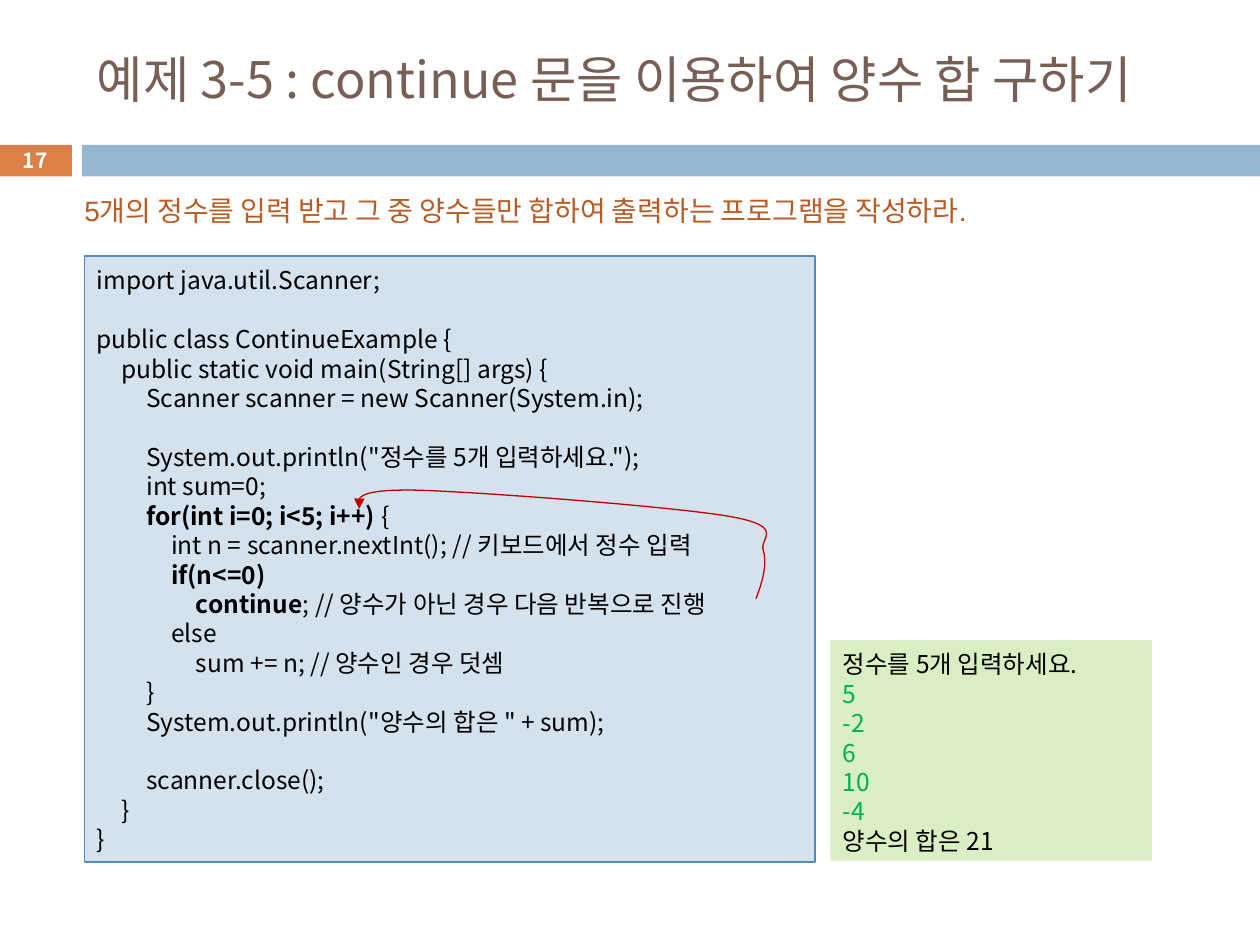
from lxml.etree import SubElement
from pptx import Presentation
from pptx.dml.color import RGBColor
from pptx.enum.shapes import MSO_SHAPE
from pptx.enum.text import MSO_ANCHOR, PP_ALIGN
from pptx.oxml.ns import qn
from pptx.util import Cm, Pt

SANS = "Noto Sans CJK KR"
TITLE = "예제 3-5 : continue 문을 이용하여 양수 합 구하기"
TASK = "5개의 정수를 입력 받고 그 중 양수들만 합하여 출력하는 프로그램을 작성하라."

# Double stars enclose bold code
CODE = """import java.util.Scanner;

public class ContinueExample {
\tpublic static void main(String[] args) {
\t\tScanner scanner = new Scanner(System.in);

\t\tSystem.out.println("정수를 5개 입력하세요.");
\t\tint sum=0;
\t\t**for(int i=0; i<5; i++) **{
\t\t\tint n = scanner.nextInt(); // 키보드에서 정수 입력
\t\t\t**if(n<=0)**
\t\t\t\t**continue**; // 양수가 아닌 경우 다음 반복으로 진행
\t\t\telse
\t\t\t\tsum += n; // 양수인 경우 덧셈
\t\t}
\t\tSystem.out.println("양수의 합은 " + sum);

\t\tscanner.close();
\t}
}"""

INPUT = ["5", "-2", "6", "10", "-4"]
OUTPUT = ["정수를 5개 입력하세요.", *INPUT, "양수의 합은 21"]

# Loop-back curve in cm: start, then control, control, end for each piece
START = (15.24, 12.07)
CURVE = [
    [(15.37, 11.73), (15.47, 11.38), (15.39, 11.1)],
    [(15.29, 10.85), (15.88, 10.62), (14.71, 10.41)],
    [(13.54, 10.21), (9.6, 9.91), (8.36, 9.88)],
    [(7.14, 9.86), (7.19, 10.06), (7.24, 10.26)],
]


def rgb(code):
    return RGBColor.from_string(code)


def style(para, size, color, name=SANS, bold=False):
    font = para.font
    font.name, font.size, font.bold = name, Pt(size), bold
    font.color.rgb = rgb(color)


def place(shape, x, y, w, h):
    shape.left, shape.top = Cm(x), Cm(y)
    shape.width, shape.height = Cm(w), Cm(h)


def rect(slide, x, y, w, h, fill, line=None):
    box = slide.shapes.add_shape(MSO_SHAPE.RECTANGLE, Cm(x), Cm(y), Cm(w), Cm(h))
    box.shadow.inherit = False
    box.fill.solid()
    box.fill.fore_color.rgb = rgb(fill)
    if line:
        box.line.color.rgb = rgb(line)
        box.line.width = Pt(0.75)
    else:
        box.line.fill.background()
    return box


def label(slide, x, y, w, h, text):
    frame = slide.shapes.add_textbox(Cm(x), Cm(y), Cm(w), Cm(h)).text_frame
    frame.word_wrap = True
    frame.text = text
    return frame


def tabs(para, count, step):
    stops = SubElement(para._p.get_or_add_pPr(), qn("a:tabLst"))
    for i in range(1, count + 1):
        SubElement(stops, qn("a:tab"), pos=str(Cm(step * i)), algn="l")


def lines(box, rows, tint):
    """Fill a box with evenly spaced rows; tint gives the colour of a row."""
    frame = box.text_frame
    frame.word_wrap = True
    frame.vertical_anchor = MSO_ANCHOR.TOP
    frame.margin_top = Cm(0.19)
    for i, row in enumerate(rows):
        para = frame.paragraphs[0] if i == 0 else frame.add_paragraph()
        para.alignment = PP_ALIGN.LEFT
        para.line_spacing = Pt(16.8)
        tabs(para, 4, 0.5)
        style(para, 14, tint(row))
        for j, part in enumerate(row.split("**")):
            if part:
                run = para.add_run()
                run.text = part
                if j % 2:
                    run.font.bold = True


def bezier(a, b, c, d, steps=16):
    for i in range(1, steps + 1):
        t = i / steps
        u = 1 - t
        yield tuple(
            Cm(u**3 * p + 3 * u * u * t * q + 3 * u * t * t * r + t**3 * s)
            for p, q, r, s in zip(a, b, c, d)
        )


def arrow(slide, start, curve, color):
    path = slide.shapes.build_freeform(Cm(start[0]), Cm(start[1]))
    for piece in curve:
        path.add_line_segments(list(bezier(start, *piece)), close=False)
        start = piece[-1]
    shape = path.convert_to_shape()
    shape.shadow.inherit = False
    shape.fill.background()
    shape.line.color.rgb = rgb(color)
    shape.line.width = Pt(0.75)
    SubElement(shape.line._get_or_add_ln(), qn("a:tailEnd"), type="triangle")


def main():
    prs = Presentation()
    prs.slide_width, prs.slide_height = Cm(25.4), Cm(19.05)
    slide = prs.slides.add_slide(prs.slide_layouts[5])

    # Header bars and page number
    rect(slide, -0.03, 2.92, 1.48, 0.64, "DD8047")
    rect(slide, 1.65, 2.92, 23.75, 0.64, "94B6D2")
    page = label(slide, -0.03, 2.88, 1.48, 0.68, "17")
    page.vertical_anchor = MSO_ANCHOR.MIDDLE
    page.paragraphs[0].alignment = PP_ALIGN.CENTER
    style(page.paragraphs[0], 11.9, "FFFFFF", bold=True)

    # Title
    title = slide.shapes.title
    place(title, 1.7, 0.64, 23.6, 1.88)
    title.text_frame.text = TITLE
    title.text_frame.vertical_anchor = MSO_ANCHOR.MIDDLE
    title.text_frame.paragraphs[0].alignment = PP_ALIGN.LEFT
    style(title.text_frame.paragraphs[0], 28.8, "775F55")

    # Task
    task = label(slide, 1.45, 3.78, 21.72, 0.94, TASK)
    style(task.paragraphs[0], 16, "B95B22", "Arial")

    # Program and its output
    code = rect(slide, 1.7, 5.16, 14.73, 12.22, "D4E2ED", "558BB8")
    lines(code, CODE.split("\n"), lambda row: "000000")
    shell = rect(slide, 16.74, 12.9, 6.48, 4.45, "DAEEC4")
    lines(shell, OUTPUT, lambda row: "00B050" if row in INPUT else "000000")

    # From continue back to the loop head
    arrow(slide, START, CURVE, "C00000")

    prs.save("out.pptx")


if __name__ == "__main__":
    main()
